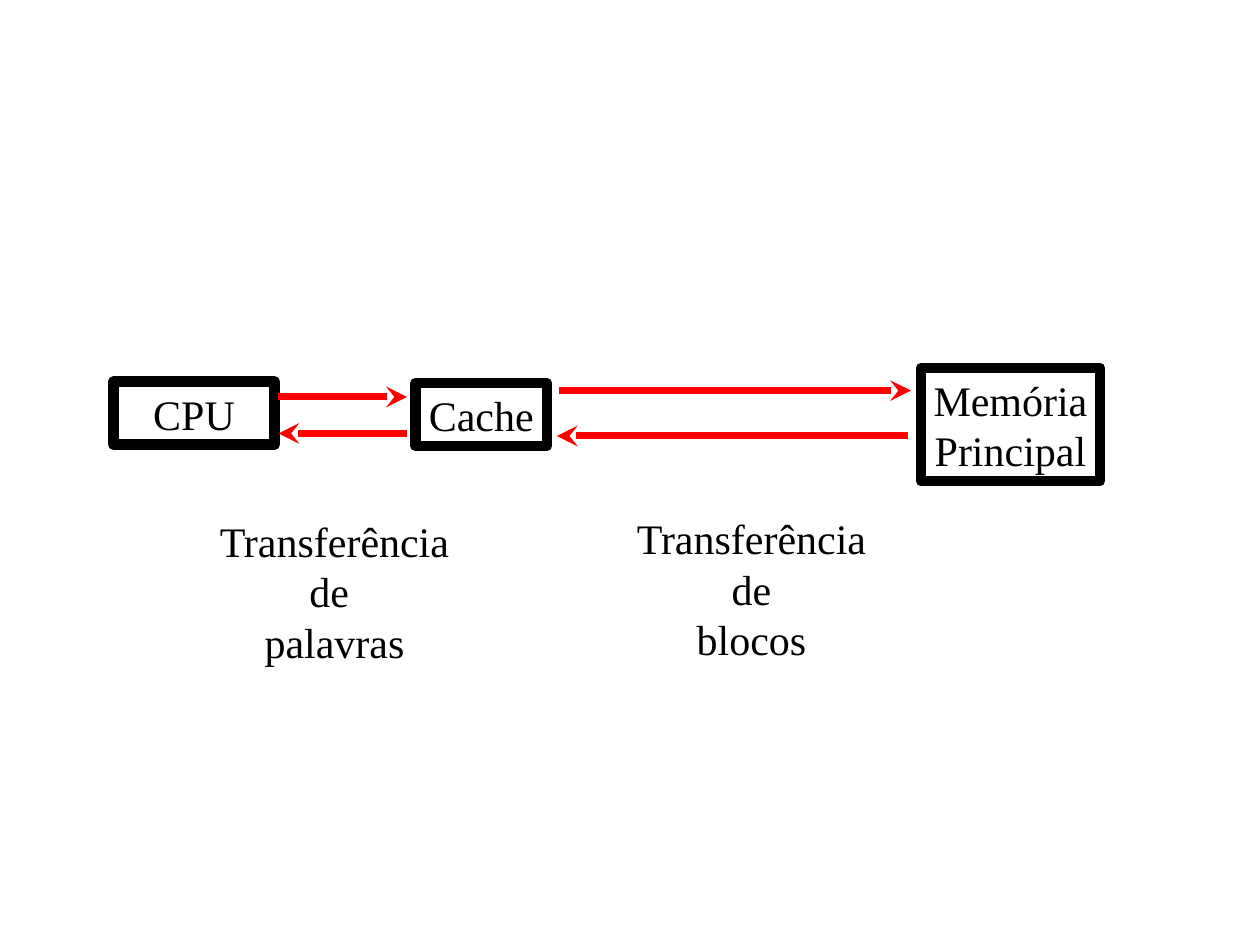
from lxml import etree
from pptx import Presentation
from pptx.dml.color import RGBColor
from pptx.enum.shapes import MSO_CONNECTOR, MSO_SHAPE
from pptx.enum.text import MSO_ANCHOR, MSO_AUTO_SIZE, PP_ALIGN
from pptx.oxml.ns import qn
from pptx.util import Inches, Pt

RECTANGLE = MSO_SHAPE.RECTANGLE
STRAIGHT = MSO_CONNECTOR.STRAIGHT
MIDDLE = MSO_ANCHOR.MIDDLE
CENTER = PP_ALIGN.CENTER
GROW = MSO_AUTO_SIZE.SHAPE_TO_FIT_TEXT

FONT = "Times New Roman"
BLACK, WHITE, RED = "000000", "FFFFFF", "FF0000"


def color(value):
    return RGBColor.from_string(value)


def write_lines(shape, lines, wrap=False):
    frame = shape.text_frame
    frame.word_wrap = wrap
    frame.auto_size = GROW
    frame.vertical_anchor = MIDDLE
    for index, line in enumerate(lines):
        paragraph = frame.add_paragraph() if index else frame.paragraphs[0]
        paragraph.alignment = CENTER
        run = paragraph.add_run()
        run.text = line
        run.font.name = FONT
        run.font.size = Pt(24)
        run.font.color.rgb = color(BLACK)


def add_unit(slide, box, lines, fill=None, wrap=False):
    """A thick-bordered hardware unit."""
    shape = slide.shapes.add_shape(RECTANGLE, *map(Inches, box))
    shape.shadow.inherit = False
    if fill:
        shape.fill.solid()
        shape.fill.fore_color.rgb = color(fill)
    else:
        shape.fill.background()
    shape.line.color.rgb = color(BLACK)
    shape.line.width = Pt(6)
    write_lines(shape, lines, wrap)


def add_arrow(slide, left, right, y, arrow_end):
    """A horizontal red arrow; tailEnd points right, headEnd points left."""
    connector = slide.shapes.add_connector(
        STRAIGHT, Inches(left), Inches(y), Inches(right), Inches(y))
    connector.line.color.rgb = color(RED)
    connector.line.width = Pt(4)
    outline = connector.line._get_or_add_ln()
    etree.SubElement(outline, qn("a:" + arrow_end), type="stealth")
    etree.SubElement(connector._element.spPr, qn("a:effectLst"))


def add_transfer(slide, caption_box, lines, arrow_out, arrow_back):
    """A pair of opposite arrows and the caption below them."""
    add_arrow(slide, *arrow_out, "tailEnd")
    add_arrow(slide, *arrow_back, "headEnd")
    caption = slide.shapes.add_textbox(*map(Inches, caption_box))
    write_lines(caption, lines)


def main():
    presentation = Presentation()
    presentation.slide_width = Inches(10)
    presentation.slide_height = Inches(7.5)
    slide = presentation.slides.add_slide(presentation.slide_layouts[6])

    # Memory hierarchy
    add_unit(slide, (0.9, 3.03, 1.28, 0.5), ["CPU"], WHITE, wrap=True)
    add_unit(slide, (3.3, 3.04, 1.04, 0.5), ["Cache"])
    add_unit(slide, (7.31, 2.92, 1.42, 0.9), ["Memória", "Principal"])

    # Transfers between neighbours
    add_transfer(slide, (1.64, 4.04, 2.03, 1.3),
                 ["Transferência", "de ", "palavras"],
                 (2.21, 3.23, 3.15), (2.21, 3.23, 3.44))
    add_transfer(slide, (4.95, 4.02, 2.03, 1.3),
                 ["Transferência", " de ", "blocos"],
                 (4.44, 7.23, 3.1), (4.42, 7.21, 3.46))

    presentation.save("out.pptx")


if __name__ == "__main__":
    main()
